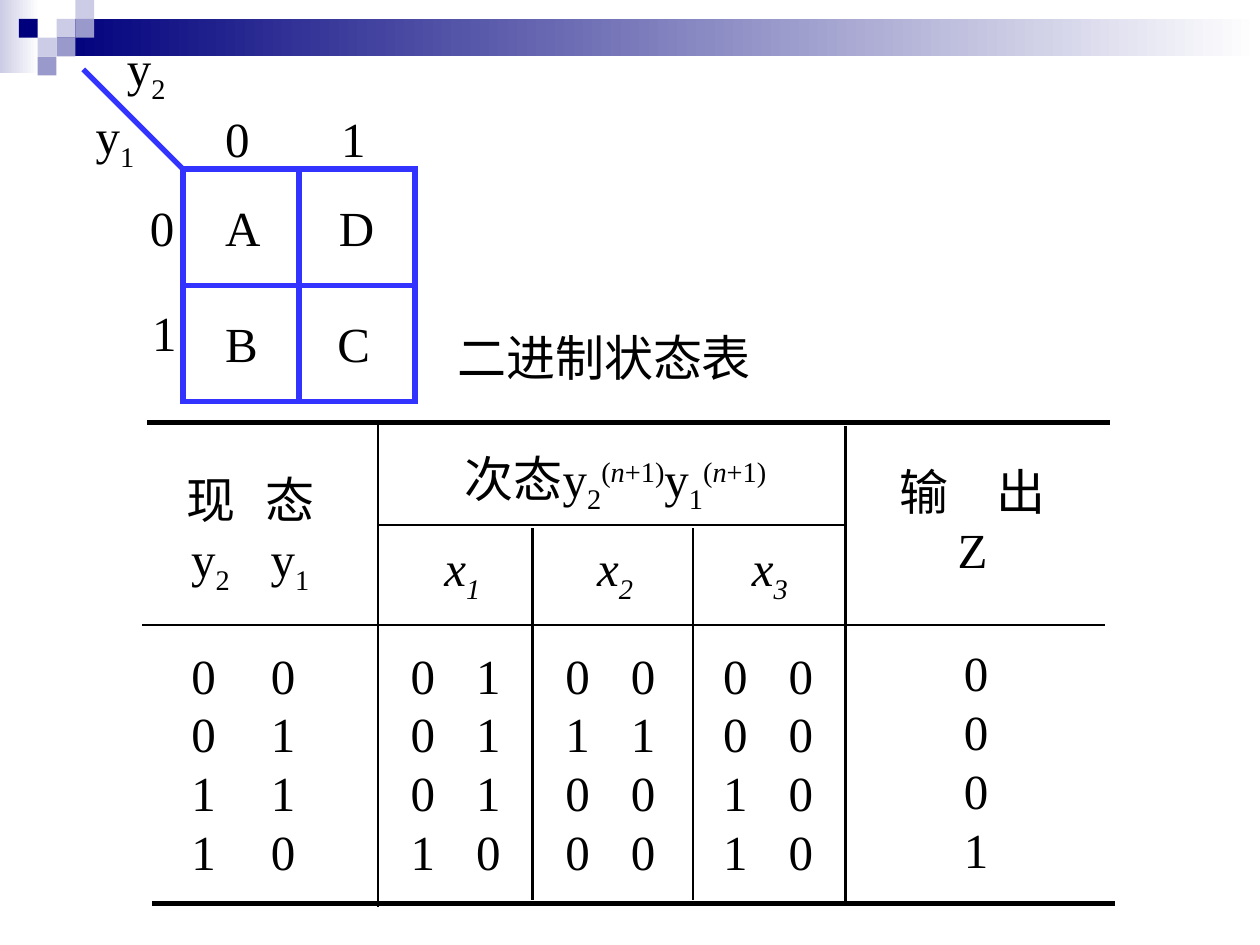
from dataclasses import dataclass

from lxml import etree
from pptx import Presentation
from pptx.dml.color import RGBColor
from pptx.enum import shapes, text
from pptx.oxml import ns
from pptx.util import Cm, Pt


@dataclass(frozen=True)
class Theme:
    font: str = "Times New Roman"
    size: int = 28
    ink: str = "000000"
    grid: str = "3333FF"
    white: str = "FFFFFF"
    pale: str = "CCCCE6"
    mid: str = "9999CC"
    navy: str = "00007D"
    heavy: float = 3
    medium: float = 1.5
    thin: float = 1


THEME = Theme()
STYLES = {
    "": (0, False),
    "sub": (-25000, False),
    "sup": (30000, False),
    "italic": (0, True),
    "italic sub": (-25000, True),
    "italic sup": (30000, True),
}

BANDS = [((0, 0, 0.79, 1.47), THEME.pale), ((1.14, 0.38, 24.26, 0.76), THEME.navy)]
CHECK = 0.38
CHECKS = [(3, 1, THEME.pale), (4, 0, THEME.pale), (4, 1, THEME.mid), (2, 2, THEME.pale),
          (1, 1, THEME.navy), (3, 2, THEME.mid), (2, 3, THEME.mid)]

RULES = [
    (2.97, 8.51, 22.38, 8.51, THEME.heavy),
    (3.07, 18.21, 22.48, 18.21, THEME.heavy),
    (7.62, 10.59, 17.04, 10.59, THEME.thin),
    (2.87, 12.6, 22.28, 12.6, THEME.thin),
    (7.62, 8.51, 7.62, 18.29, THEME.medium),
    (10.74, 10.64, 10.74, 18.14, THEME.medium),
    (13.97, 10.64, 13.97, 18.14, THEME.medium),
    (17.04, 8.59, 17.04, 18.21, THEME.medium),
]

TITLE = "二进制状态表"
PRESENT_HEAD = ["现\t态", [("y", ""), ("2\t", "sub"), ("y", ""), ("1", "sub")]]
NEXT_POWER = [("(", "sup"), ("n", "italic sup"), ("+1)", "sup")]
NEXT_HEAD = [[("次态y", ""), ("2", "sub"), *NEXT_POWER, ("y", ""), ("1", "sub"), *NEXT_POWER]]
OUTPUT_HEAD = ["输\t出", "Z"]
PRESENT = ["0\t0", "0\t1", "1\t1", "1\t0"]
OUTPUT = ["0", "0", "0", "1"]
INPUTS = [
    ("1", 8.71, 8.03, ["0\t1", "0\t1", "0\t1", "1\t0"]),
    ("2", 11.79, 11.15, ["0\t0", "1\t1", "0\t0", "0\t0"]),
    ("3", 14.91, 14.33, ["0\t0", "0\t0", "1\t0", "1\t0"]),
]

MAP_LEFT, MAP_TOP, MAP_CELL = 3.69, 3.41, 2.34
MAP_AXES = [("2", 2.31, 0.64), ("1", 1.68, 2.01)]
MAP_LABELS = [
    ("0", 4.29, 2.06, 0.99), ("1", 6.63, 2.06, 0.99),
    ("0", 2.77, 3.86, 0.99), ("A", 4.29, 3.86, 1.22), ("D", 6.58, 3.86, 1.22),
    ("1", 2.82, 5.97, 0.99), ("B", 4.29, 6.2, 1.17), ("C", 6.55, 6.2, 1.17),
]


def rgb(value):
    return RGBColor.from_string(value)


def add_block(slide, box, fill=None, fade=None, outline=None):
    block = slide.shapes.add_shape(shapes.MSO_SHAPE.RECTANGLE, *map(Cm, box))
    block.shadow.inherit = False
    if fade:
        block.fill.gradient()
        block.fill.gradient_angle = 180
        for stop, position, color in zip(block.fill.gradient_stops, (0, 1), (THEME.white, fade)):
            stop.position = position
            stop.color.rgb = rgb(color)
    elif fill:
        block.fill.solid()
        block.fill.fore_color.rgb = rgb(fill)
    else:
        block.fill.background()
    if outline:
        block.line.color.rgb = rgb(outline)
        block.line.width = Pt(THEME.heavy)
        etree.SubElement(block.line._get_or_add_ln(), ns.qn("a:miter"), lim="800000")
    else:
        block.line.fill.background()


def add_rule(slide, ends, width, color=THEME.ink):
    rule = slide.shapes.add_connector(shapes.MSO_CONNECTOR.STRAIGHT, *map(Cm, ends))
    rule.line.color.rgb = rgb(color)
    rule.line.width = Pt(width)
    etree.SubElement(rule._element.spPr, ns.qn("a:effectLst"))


def add_label(slide, box, lines, tab=None, centered=False):
    frame = slide.shapes.add_textbox(*map(Cm, box)).text_frame
    frame.word_wrap = True
    frame.auto_size = text.MSO_AUTO_SIZE.NONE
    frame.margin_left, frame.margin_right = (Cm(0.1), Cm(0.1)) if centered else (Cm(0.25), 0)
    for index, line in enumerate(lines):
        paragraph = frame.add_paragraph() if index else frame.paragraphs[0]
        paragraph.alignment = text.PP_ALIGN.CENTER if centered else text.PP_ALIGN.LEFT
        if tab:
            tabs = etree.SubElement(paragraph._p.get_or_add_pPr(), ns.qn("a:tabLst"))
            etree.SubElement(tabs, ns.qn("a:tab"), pos=str(Cm(tab)), algn="l")
        for words, style in [(line, "")] if isinstance(line, str) else line:
            run = paragraph.add_run()
            run.text = words
            baseline, italic = STYLES[style]
            run.font.name = THEME.font
            run.font.size = Pt(THEME.size)
            run.font.color.rgb = rgb(THEME.ink)
            run.font.italic = italic
            if baseline:
                run._r.get_or_add_rPr().set("baseline", str(baseline))


def draw_banner(slide):
    for box, fade in BANDS:
        add_block(slide, box, fade=fade)
    for column, row, fill in CHECKS:
        add_block(slide, (column * CHECK, row * CHECK, CHECK, CHECK), fill=fill)


def draw_state_table(slide):
    for *ends, width in RULES:
        add_rule(slide, ends, width)
    add_label(slide, (8.97, 6.48, 6.43, 1.45), [TITLE])
    add_label(slide, (3.51, 9.35, 3.07, 2.79), PRESENT_HEAD, 1.6, True)
    add_label(slide, (9.12, 8.92, 6.96, 1.6), NEXT_HEAD)
    add_label(slide, (17.93, 9.17, 3.35, 2.64), OUTPUT_HEAD, 1.95, True)
    add_label(slide, (3.61, 12.88, 2.59, 5), PRESENT, 1.6, True)
    for number, head_left, bits_left, bits in INPUTS:
        head = [("x", "italic"), (number, "italic sub")]
        add_label(slide, (head_left, 10.72, 1.22, 1.6), [head])
        add_label(slide, (bits_left, 12.88, 2.31, 5), bits, 1.32, True)
    add_label(slide, (19.18, 12.83, 0.99, 5), OUTPUT, centered=True)


def draw_map(slide):
    for row in range(2):
        for column in range(2):
            corner = (MAP_LEFT + column * MAP_CELL, MAP_TOP + row * MAP_CELL)
            add_block(slide, (*corner, MAP_CELL, MAP_CELL), outline=THEME.grid)
    add_rule(slide, (MAP_LEFT, MAP_TOP, 1.68, 1.4), THEME.heavy, THEME.grid)
    for number, left, top in MAP_AXES:
        add_label(slide, (left, top, 1.27, 1.6), [[("y", ""), (number, "sub")]])
    for label, left, top, width in MAP_LABELS:
        add_label(slide, (left, top, width, 1.45), [label])


def main():
    deck = Presentation()
    deck.slide_width, deck.slide_height = Cm(25.4), Cm(19.05)
    slide = deck.slides.add_slide(deck.slide_layouts[6])
    draw_banner(slide)
    draw_state_table(slide)
    draw_map(slide)
    deck.save("out.pptx")


if __name__ == "__main__":
    main()
